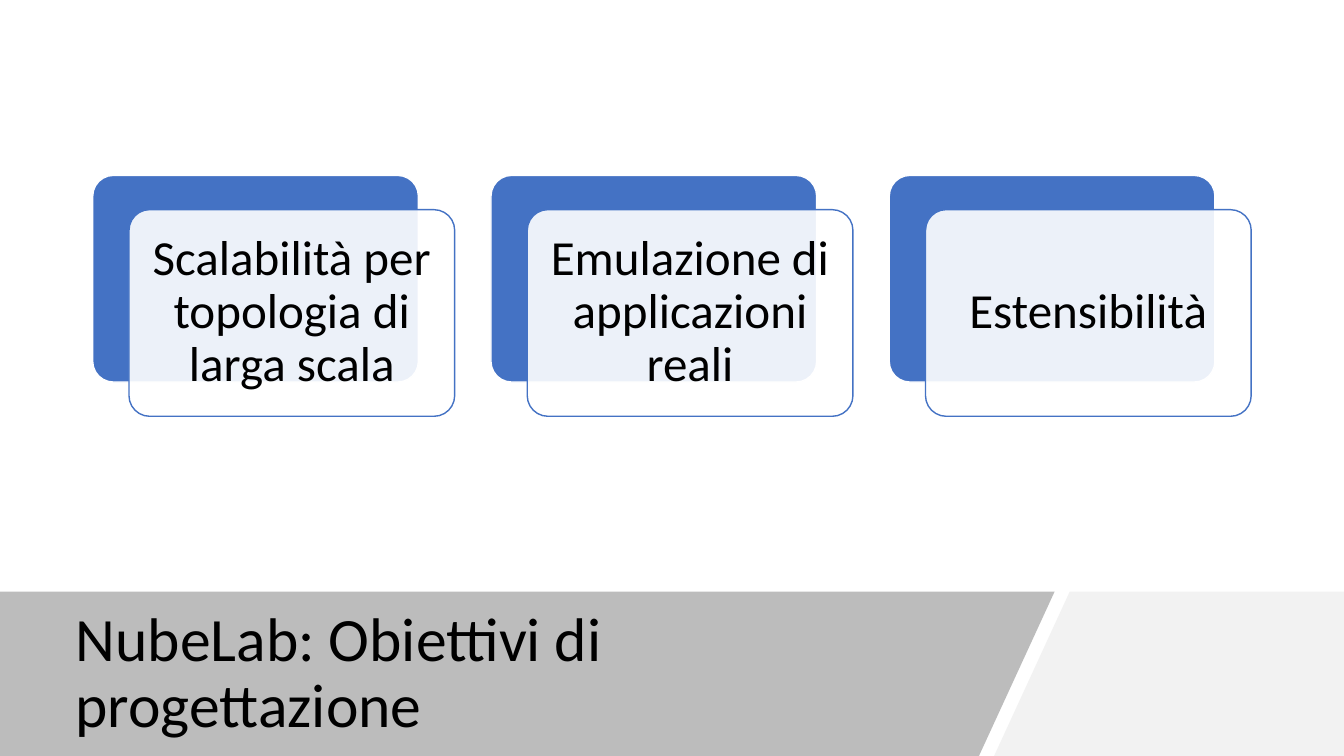
import pptx
import pptx.util
import pptx.dml.color
import pptx.enum.shapes
import pptx.enum.text
from lxml import etree

Inches = pptx.util.Inches
Pt = pptx.util.Pt
ALIGN = pptx.enum.text.PP_ALIGN
ROUND = pptx.enum.shapes.MSO_SHAPE.ROUNDED_RECTANGLE

# Content
TITLE = "NubeLab: Obiettivi di progettazione"
GOALS = [
    "Scalabilità per topologia di larga scala",
    "Emulazione di applicazioni reali",
    "Estensibilità",
]

# Layout in inches
WIDE, HIGH = 13.33, 7.5
BAND_TOP = 5.87
BANDS = [
    ([(10.61, BAND_TOP), (WIDE, BAND_TOP), (WIDE, HIGH), (9.86, HIGH)], "F2F2F2", 100),
    ([(0, BAND_TOP), (10.46, BAND_TOP), (9.71, HIGH), (0, HIGH)], "595959", 40),
]
LEFT, TOP, STEP = 0.92, 1.74, 3.95
CARD_W, CARD_H = 3.23, 2.05
SHIFT_X, SHIFT_Y = 0.36, 0.34


def color(code):
    return pptx.dml.color.RGBColor.from_string(code)


def paint(shape, fill, alpha=100, line=None):
    shape.shadow.inherit = False
    shape.fill.solid()
    shape.fill.fore_color.rgb = color(fill)
    if alpha < 100:
        tone = shape.fill._xPr.solidFill[0]
        tag = "{http://schemas.openxmlformats.org/drawingml/2006/main}alpha"
        etree.SubElement(tone, tag).set("val", str(alpha * 1000))
    if line:
        shape.line.color.rgb = color(line)
        shape.line.width = Pt(1)
    else:
        shape.line.fill.background()


def write(shape, text, size, align, inset=None, after=0):
    frame = shape.text_frame
    frame.text = text
    frame.word_wrap = True
    frame.auto_size = pptx.enum.text.MSO_AUTO_SIZE.NONE
    frame.vertical_anchor = pptx.enum.text.MSO_ANCHOR.MIDDLE
    if inset is not None:
        frame.margin_left = frame.margin_right = Inches(inset)
        frame.margin_top = frame.margin_bottom = Inches(inset)
    para = frame.paragraphs[0]
    para.alignment = align
    para.line_spacing = 0.9
    para.space_after = Pt(after)
    font = para.runs[0].font
    font.name = "Calibri"
    font.size = Pt(size)
    font.color.rgb = color("000000")


def card(shapes, x, y, **look):
    box = shapes.add_shape(ROUND, Inches(x), Inches(y), Inches(CARD_W), Inches(CARD_H))
    box.adjustments[0] = 0.1
    paint(box, **look)
    return box


def main():
    deck = pptx.Presentation()
    deck.slide_width, deck.slide_height = Inches(WIDE), Inches(HIGH)
    slide = deck.slides.add_slide(deck.slide_layouts[5])
    shapes = slide.shapes

    # Slanted bands at the foot
    for points, fill, alpha in BANDS:
        spots = [(Inches(x), Inches(y)) for x, y in points]
        pen = shapes.build_freeform(*spots[0])
        pen.add_line_segments(spots[1:], close=True)
        paint(pen.convert_to_shape(), fill, alpha)

    # Title, raised above the bands
    title = shapes.title
    title.left, title.top = Inches(0.65), Inches(6.09)
    title.width, title.height = Inches(8.83), Inches(1.2)
    write(title, TITLE, size=44, align=ALIGN.LEFT, after=6)
    shapes.element.append(title.element)

    # Goal cards: a solid back and a translucent front
    for i, goal in enumerate(GOALS):
        x = LEFT + i * STEP
        card(shapes, x, TOP, fill="4472C4", line="FFFFFF")
        front = card(shapes, x + SHIFT_X, TOP + SHIFT_Y,
                     fill="FFFFFF", alpha=90, line="4472C4")
        write(front, goal, size=35, align=ALIGN.CENTER, inset=0.15)

    deck.save("out.pptx")


if __name__ == "__main__":
    main()
